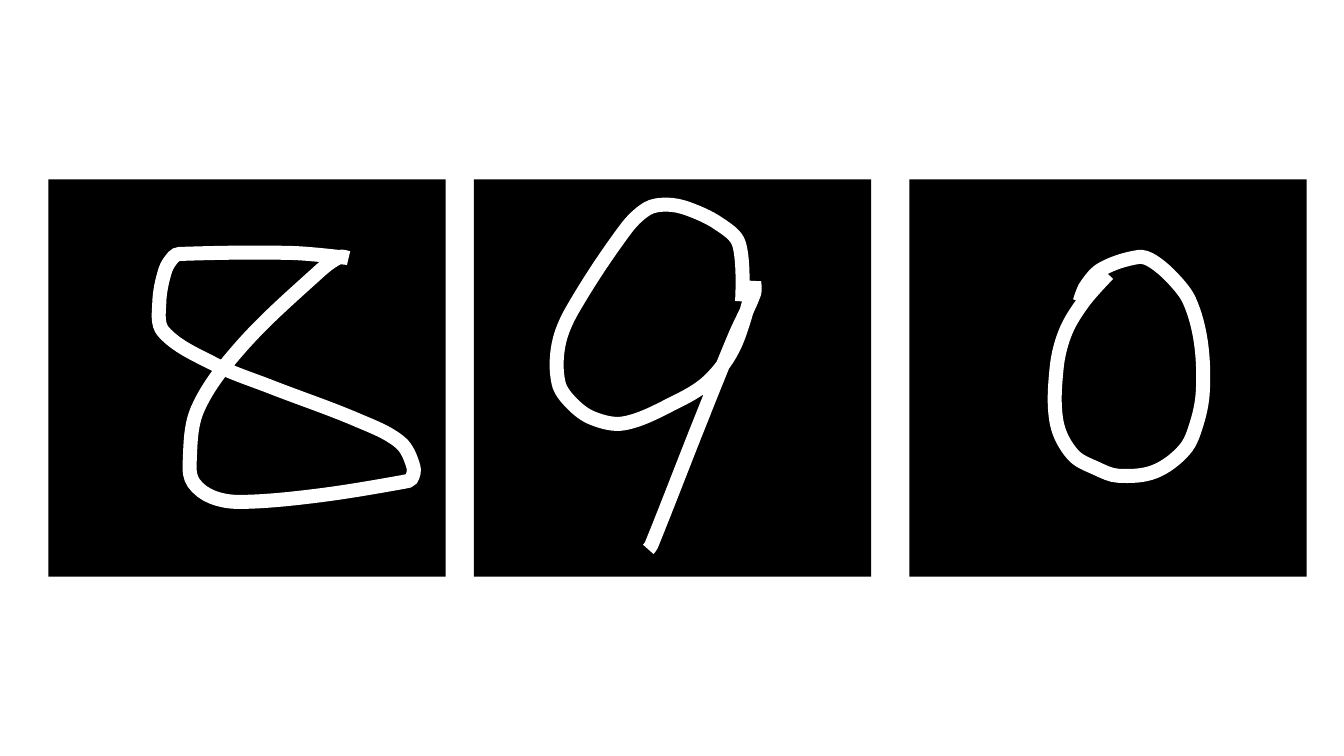
from math import dist
from lxml.etree import SubElement as Sub
from pptx import Presentation
from pptx.dml.color import RGBColor
from pptx.enum.shapes import MSO_SHAPE
from pptx.oxml.ns import qn
from pptx.util import Inches, Pt

COLORS = {"tile": "000000", "ink": "FFFFFF"}
SIDE, TOP = 3.94, 1.78

# Points that each pen stroke runs through, in inches
EIGHT = [
    (3.45, 2.56), (2.89, 2.51), (1.78, 2.52), (1.72, 2.55), (1.64, 2.68),
    (1.58, 3), (1.62, 3.29), (2.12, 3.61), (2.69, 3.84), (3.55, 4.17),
    (3.97, 4.39), (4.1, 4.63), (4.08, 4.75), (4.01, 4.78), (3.13, 4.92),
    (2.38, 4.98), (2.1, 4.93), (1.92, 4.79), (1.88, 4.61), (1.96, 4.06),
    (2.4, 3.43), (3.17, 2.69), (3.37, 2.55), (3.45, 2.56),
]
NINE = [
    (7.36, 2.99), (7.33, 2.42), (7.13, 2.22), (6.82, 2.07), (6.61, 2.03),
    (6.42, 2.07), (6.2, 2.28), (5.68, 3.07), (5.54, 3.42), (5.54, 3.8),
    (5.67, 4), (5.88, 4.15), (6.19, 4.2), (6.68, 4), (7.03, 3.78),
    (7.29, 3.42), (7.48, 2.8), (7.48, 2.91), (7.29, 3.33), (6.93, 4.22),
    (6.46, 5.41), (6.43, 5.45),
]
ZERO = [
    (10.99, 2.72), (10.75, 2.99), (10.57, 3.29), (10.48, 3.65), (10.48, 4.19),
    (10.64, 4.51), (10.88, 4.65), (11.09, 4.72), (11.45, 4.68), (11.75, 4.46),
    (11.87, 4.2), (11.93, 3.88), (11.91, 3.39), (11.8, 2.99), (11.64, 2.77),
    (11.43, 2.59), (11.29, 2.55), (10.93, 2.67), (10.77, 2.84), (10.71, 2.99),
]


def slope(a, b, c):
    """Unit direction of the stroke at b, or none at a sharp turn."""
    turn = (b[0] - a[0]) * (c[0] - b[0]) + (b[1] - a[1]) * (c[1] - b[1])
    if turn <= 0:
        return 0, 0
    span = dist(a, c)
    return (c[0] - a[0]) / span, (c[1] - a[1]) / span


deck = Presentation()
deck.slide_width, deck.slide_height = Inches(13.33), Inches(7.5)
slide = deck.slides.add_slide(deck.slide_layouts[6])

for left, stroke, closed in [(0.48, EIGHT, True), (4.7, NINE, False), (9.02, ZERO, False)]:
    # Black tile
    tile = slide.shapes.add_shape(
        MSO_SHAPE.RECTANGLE, Inches(left), Inches(TOP), Inches(SIDE), Inches(SIDE))
    tile.shadow.inherit = False
    tile.fill.solid()
    tile.fill.fore_color.rgb = RGBColor.from_string(COLORS["tile"])
    tile.line.fill.background()

    # White digit
    dots = [(Inches(x), Inches(y)) for x, y in stroke]
    pen = slide.shapes.build_freeform(*dots[0])
    pen.add_line_segments(dots[1:], close=closed)
    digit = pen.convert_to_shape()
    digit.shadow.inherit = False
    digit.fill.background()
    digit.line.color.rgb = RGBColor.from_string(COLORS["ink"])
    digit.line.width = Pt(10)
    Sub(digit.line._get_or_add_ln(), qn("a:miter"), lim="800000")

    # Smooth the stroke: handles reach a third of the way along each piece
    inner = [slope(*trio) for trio in zip(dots, dots[1:], dots[2:])]
    slopes = [(0, 0), *inner, (0, 0)]
    legs = list(digit._element.iter(qn("a:lnTo")))
    for leg, a, b, out, back in zip(legs, dots, dots[1:], slopes, slopes[1:]):
        reach = dist(a, b) / 3
        first = a[0] + out[0] * reach, a[1] + out[1] * reach
        second = b[0] - back[0] * reach, b[1] - back[1] * reach
        curve = leg.makeelement(qn("a:cubicBezTo"))
        for x, y in (first, second, b):
            Sub(curve, qn("a:pt"), x=str(round(x - digit.left)), y=str(round(y - digit.top)))
        leg.getparent().replace(leg, curve)

deck.save("out.pptx")
